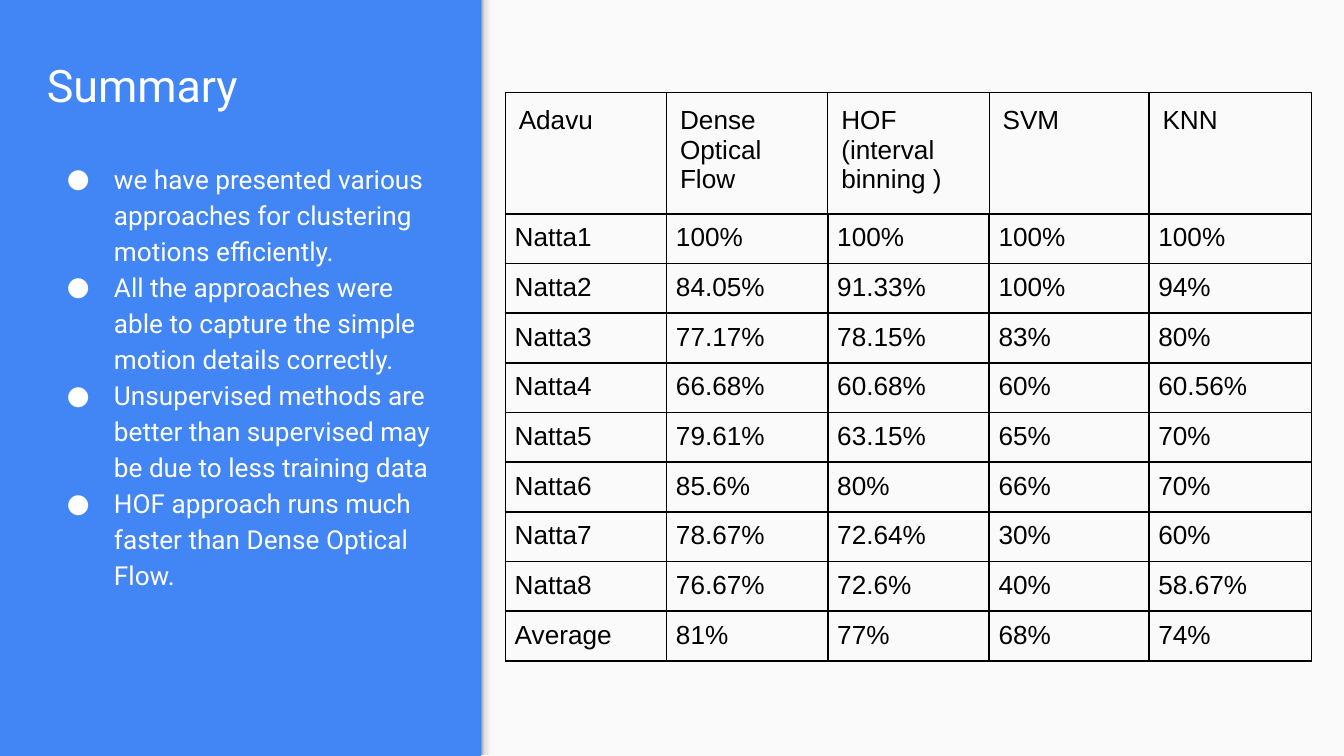
from copy import deepcopy

from pptx import Presentation
from pptx.dml.color import RGBColor
from pptx.enum.shapes import MSO_SHAPE
from pptx.enum.text import MSO_ANCHOR
from pptx.oxml.ns import qn
from pptx.oxml.xmlchemy import OxmlElement
from pptx.util import Inches, Pt

BLUE = RGBColor(0x42, 0x85, 0xF4)
PANEL = RGBColor(0xFA, 0xFA, 0xFA)
PALE = RGBColor(0xF9, 0xF9, 0xF9)
SILVER = RGBColor(0xDE, 0xDE, 0xDE)
GRAY = RGBColor(0x99, 0x99, 0x99)
WHITE = RGBColor(0xFF, 0xFF, 0xFF)
BLACK = RGBColor(0, 0, 0)

EDGE_STOPS = [(0, PALE), (0.36, PALE), (0.8, SILVER), (1, GRAY)]
COLUMN_WIDTHS = [1.2, 1.2, 1.2, 1.19, 1.21]
HEADER_HEIGHT = 0.9
ROW_HEIGHT = 0.37

POINTS = [
    "we have presented various approaches for clustering motions efficiently.",
    "All the approaches were able to capture the simple motion details correctly.",
    "Unsupervised methods are better than supervised may be due to less training data",
    "HOF approach runs much faster than Dense Optical Flow.",
]

RESULTS = [
    ["Adavu", "Dense Optical Flow", "HOF (interval binning )", "SVM", "KNN"],
    ["Natta1", "100%", "100%", "100%", "100%"],
    ["Natta2", "84.05%", "91.33%", "100%", "94%"],
    ["Natta3", "77.17%", "78.15%", "83%", "80%"],
    ["Natta4", "66.68%", "60.68%", "60%", "60.56%"],
    ["Natta5", "79.61%", "63.15%", "65%", "70%"],
    ["Natta6", "85.6%", "80%", "66%", "70%"],
    ["Natta7", "78.67%", "72.64%", "30%", "60%"],
    ["Natta8", "76.67%", "72.6%", "40%", "58.67%"],
    ["Average", "81%", "77%", "68%", "74%"],
]


def add_rectangle(slide, left, top, width, height):
    shape = slide.shapes.add_shape(
        MSO_SHAPE.RECTANGLE, Inches(left), Inches(top), Inches(width), Inches(height)
    )
    shape.shadow.inherit = False
    shape.line.fill.background()
    return shape


def add_panel(slide, height):
    panel = add_rectangle(slide, 3.58, 0, 6.42, 5.62)
    panel.height = height
    panel.fill.solid()
    panel.fill.fore_color.rgb = PANEL


def add_panel_edge(slide):
    edge = add_rectangle(slide, 0.83, 2.75, 5.62, 0.12)
    edge.rotation = 270
    edge.fill.gradient()
    edge.fill.gradient_angle = 90
    stop_list = edge.element.spPr.find(".//" + qn("a:gsLst"))
    for stop in list(stop_list):
        stop_list.append(deepcopy(stop))
    for stop, (position, color) in zip(edge.fill.gradient_stops, EDGE_STOPS):
        stop.position = position
        stop.color.rgb = color


def add_run(paragraph, text, font_name, size, color):
    run = paragraph.add_run()
    run.text = text
    run.font.name = font_name
    run.font.size = Pt(size)
    run.font.color.rgb = color


def add_text_box(slide, top, height, anchor):
    box = slide.shapes.add_textbox(Inches(0.25), Inches(top), Inches(3.07), Inches(height))
    frame = box.text_frame
    frame.word_wrap = True
    frame.vertical_anchor = anchor
    frame.margin_left = frame.margin_right = Inches(0.1)
    frame.margin_top = frame.margin_bottom = Inches(0.1)
    return frame


def make_element(tag, **attributes):
    element = OxmlElement(tag)
    for name, value in attributes.items():
        element.set(name, str(value))
    return element


def add_bullet(paragraph):
    properties = paragraph._p.get_or_add_pPr()
    properties.set("marL", str(Inches(0.5)))
    properties.set("indent", str(Inches(-0.35)))
    bullet_color = make_element("a:buClr")
    bullet_color.append(make_element("a:srgbClr", val=WHITE))
    properties.append(bullet_color)
    properties.append(make_element("a:buSzPts", val=1400))
    properties.append(make_element("a:buFont", typeface="Roboto"))
    properties.append(make_element("a:buChar", char="●"))


def add_points(slide):
    frame = add_text_box(slide, 1.08, 3.98, MSO_ANCHOR.TOP)
    for index, point in enumerate(POINTS):
        paragraph = frame.add_paragraph() if index else frame.paragraphs[0]
        add_bullet(paragraph)
        paragraph.line_spacing = 1.15
        add_run(paragraph, point, "Roboto", 14, WHITE)


def add_title(slide):
    frame = add_text_box(slide, 0.39, 0.54, MSO_ANCHOR.BOTTOM)
    add_run(frame.paragraphs[0], "Summary", "Roboto", 24, WHITE)


def set_borders(cell, widths):
    properties = cell._tc.get_or_add_tcPr()
    for side, width in zip("LRTB", widths):
        line = make_element(f"a:ln{side}", w=Pt(width))
        fill = make_element("a:solidFill")
        fill.append(make_element("a:srgbClr", val=BLACK))
        line.append(fill)
        properties.append(line)


def fill_cell(cell, text, is_header):
    margin = Inches(0.1 if is_header else 0.07)
    cell.margin_left = cell.margin_right = margin
    cell.margin_top = cell.margin_bottom = margin
    set_borders(cell, [0.75, 0.75, 0.75, 1] if is_header else [1] * 4)
    cell.fill.background()
    add_run(cell.text_frame.paragraphs[0], text, "Arial", 14, BLACK)


def add_results_table(slide):
    row_heights = [HEADER_HEIGHT] + [ROW_HEIGHT] * (len(RESULTS) - 1)
    table = slide.shapes.add_table(
        len(RESULTS), len(COLUMN_WIDTHS), Inches(3.76), Inches(0.69),
        Inches(sum(COLUMN_WIDTHS)), Inches(sum(row_heights)),
    ).table
    table.first_row = False
    table.horz_banding = False
    for column, width in zip(table.columns, COLUMN_WIDTHS):
        column.width = Inches(width)
    for row, height, texts in zip(table.rows, row_heights, RESULTS):
        row.height = Inches(height)
        for cell, text in zip(row.cells, texts):
            fill_cell(cell, text, texts is RESULTS[0])


def main():
    presentation = Presentation()
    presentation.slide_width = Inches(10)
    presentation.slide_height = Inches(10 * 9 / 16)
    slide = presentation.slides.add_slide(presentation.slide_layouts[6])
    slide.background.fill.solid()
    slide.background.fill.fore_color.rgb = BLUE
    add_panel(slide, presentation.slide_height)
    add_panel_edge(slide)
    add_results_table(slide)
    add_points(slide)
    add_title(slide)
    presentation.save("out.pptx")


if __name__ == "__main__":
    main()
